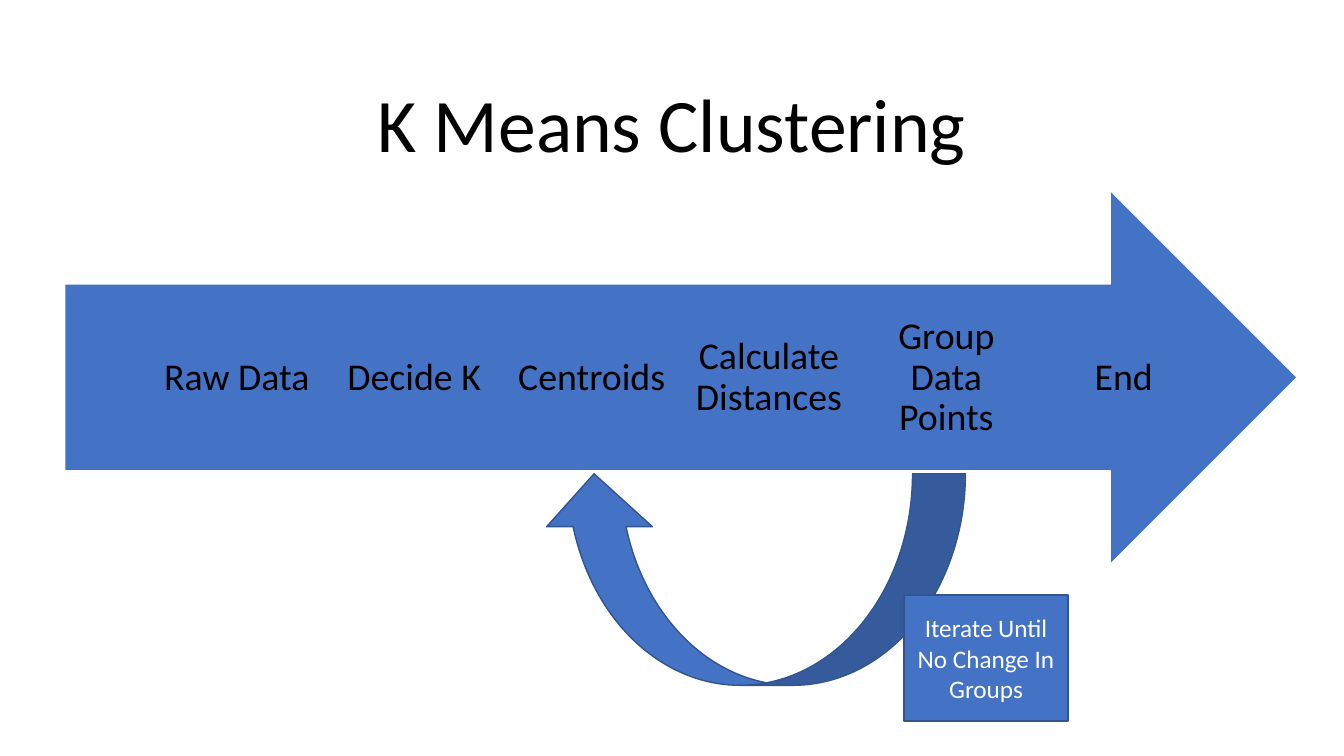
"""Build the K means clustering process slide."""
from dataclasses import dataclass

from pptx import Presentation
from pptx.dml.color import RGBColor
from pptx.enum.shapes import MSO_SHAPE
from pptx.enum.text import MSO_ANCHOR, PP_ALIGN
from pptx.oxml.ns import qn
from pptx.util import Cm, Pt

ARROW = MSO_SHAPE.RIGHT_ARROW
LOOP = MSO_SHAPE.CURVED_UP_ARROW
RECT = MSO_SHAPE.RECTANGLE
MIDDLE = MSO_ANCHOR.MIDDLE
BOTTOM = MSO_ANCHOR.BOTTOM
CENTER = PP_ALIGN.CENTER


@dataclass(frozen=True)
class Theme:
    """Hold the font, colours and type sizes."""
    font: str = "Calibri"
    black: RGBColor = RGBColor(0, 0, 0)
    white: RGBColor = RGBColor(255, 255, 255)
    blue: RGBColor = RGBColor(0x44, 0x72, 0xC4)
    edge: RGBColor = RGBColor(0x32, 0x54, 0x91)
    title: Pt = Pt(54)
    step: Pt = Pt(27)
    note: Pt = Pt(18)


THEME = Theme()
STEPS = ("Raw Data", "Decide K", "Centroids", "Calculate Distances",
         "Group Data Points", "End")
STEP_LEFT, STEP_PITCH = 4.11, 4.47


def write(shape, text, size, color, anchor=MIDDLE, spacing=1.0):
    """Put one centred paragraph into a shape."""
    frame = shape.text_frame
    frame.word_wrap = True
    frame.vertical_anchor = anchor
    para = frame.paragraphs[0]
    para.text = text
    para.alignment = CENTER
    para.line_spacing = spacing
    para.font.name = THEME.font
    para.font.size = size
    para.font.color.rgb = color


def add_title(slide, text):
    """Place and fill the title placeholder."""
    title = slide.shapes.title
    title.left, title.top = Cm(4.23), Cm(1.93)
    title.width, title.height = Cm(25.4), Cm(2.44)
    write(title, text, THEME.title, THEME.black, BOTTOM, 0.9)


def add_block(slide, kind, left, top, width, height, edge):
    """Add a blue preset shape with a thin outline."""
    block = slide.shapes.add_shape(
        kind, Cm(left), Cm(top), Cm(width), Cm(height))
    block.shadow.inherit = False
    block.fill.solid()
    block.fill.fore_color.rgb = THEME.blue
    block.line.color.rgb = edge
    block.line.width = Pt(1)
    return block


def add_step(slide, index, text):
    """Add one step label at its place along the arrow."""
    left = STEP_LEFT + index * STEP_PITCH
    box = slide.shapes.add_textbox(Cm(left), Cm(7.16), Cm(3.72), Cm(4.72))
    frame = box.text_frame
    frame.margin_left = frame.margin_right = 0
    frame.margin_top = frame.margin_bottom = Cm(0.76)
    write(box, text, THEME.step, THEME.black, spacing=0.9)


def add_loop(slide):
    """Add the curved arrow that leads back to the centroids."""
    loop = add_block(slide, LOOP, 13.64, 11.94, 10.69, 5.33, THEME.edge)
    loop.element.spPr.find(qn("a:xfrm")).set("flipH", "1")


def add_note(slide, text):
    """Add the box that tells when the loop ends."""
    note = add_block(slide, RECT, 22.78, 14.99, 4.14, 3.18, THEME.edge)
    write(note, text, THEME.note, THEME.white)


def main():
    """Build and save the slide."""
    deck = Presentation()
    deck.slide_width, deck.slide_height = Cm(33.87), Cm(19.05)
    slide = deck.slides.add_slide(deck.slide_layouts[5])
    add_title(slide, "K Means Clustering")
    add_block(slide, ARROW, 1.63, 4.8, 31.06, 9.42, THEME.white)
    for index, text in enumerate(STEPS):
        add_step(slide, index, text)
    add_loop(slide)
    add_note(slide, "Iterate Until No Change In Groups")
    deck.save("out.pptx")


if __name__ == "__main__":
    main()
